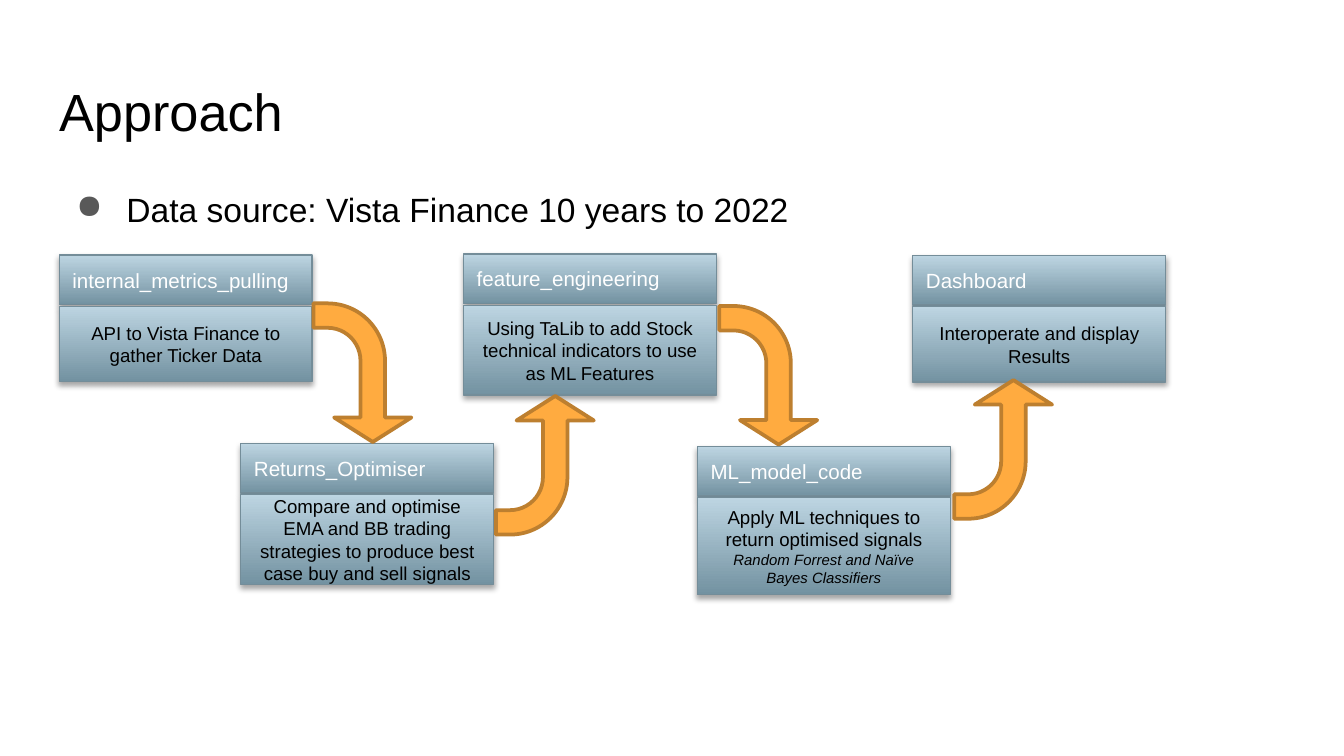
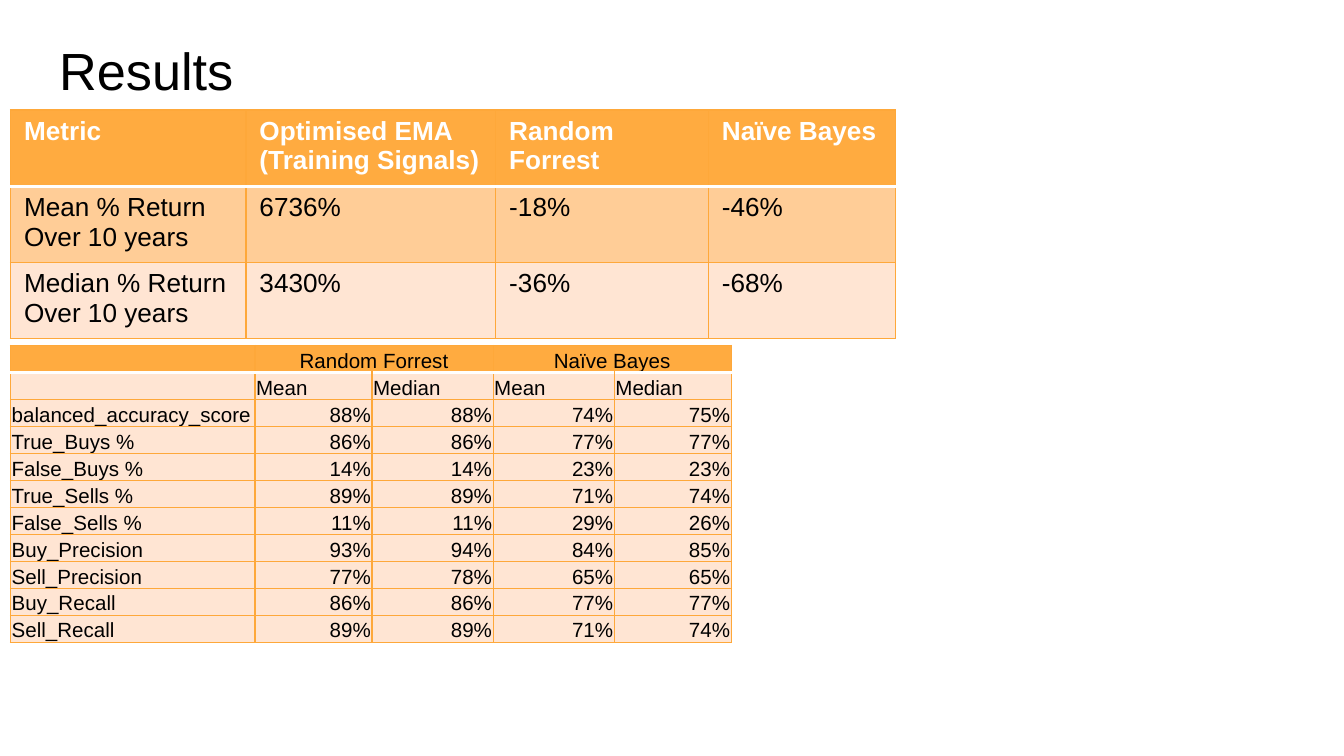
from dataclasses import dataclass

import pptx
import pptx.dml.color
import pptx.enum.shapes
import pptx.enum.text
import pptx.oxml.ns
import pptx.util
from lxml import etree

Cm = pptx.util.Cm
Pt = pptx.util.Pt
ALIGN = pptx.enum.text.PP_ALIGN
ANCHOR = pptx.enum.text.MSO_ANCHOR
SHAPE = pptx.enum.shapes.MSO_SHAPE


@dataclass(frozen=True)
class Theme:
    font: str = "Arial"
    ink: str = "000000"
    paper: str = "FFFFFF"
    bullet: str = "595959"
    steel_dark: str = "7392A1"
    steel_light: str = "BDD5E2"
    steel_line: str = "748D99"
    orange: str = "FFAB40"
    orange_line: str = "BD7F2F"
    table_line: str = "FEA83A"
    band_dark: str = "FFCD97"
    band_light: str = "FFE5D3"
    title_size: float = 28
    body_size: float = 18
    metric_size: float = 14
    step_size: float = 11
    note_size: float = 10
    small_size: float = 8
    score_size: float = 11


T = Theme()
STEP_W, STEP_HEAD_H, STEP_BODY_DY = 4.78, 0.94, 0.97
ARROW_W, ARROW_H = 2.62, 1.85

# name, left, top, body height, description, small print
STEPS = [
    ("internal_metrics_pulling", 1.12, 4.82, 1.42,
     "API to Vista Finance to gather Ticker Data", ""),
    ("feature_engineering", 8.76, 4.8, 1.7,
     "Using TaLib to add Stock technical indicators to use as ML Features", ""),
    ("Returns_Optimiser", 4.55, 8.38, 1.7,
     "Compare and optimise EMA and BB trading strategies to produce best "
     "case buy and sell signals", ""),
    ("ML_model_code", 13.18, 8.44, 1.83,
     "Apply ML techniques to return optimised signals",
     "Random Forrest and Naïve Bayes Classifiers"),
    ("Dashboard", 17.25, 4.83, 1.42, "Interoperate and display Results", ""),
]

# left, top, whether the arrow points up
ARROWS = [(5.54, 6.12, False), (13.21, 6.17, False),
          (8.99, 7.87, True), (17.65, 7.57, True)]

RETURNS = [
    ("Metric", "Optimised EMA\n(Training Signals)", "Random Forrest", "Naïve Bayes"),
    ("Mean % Return\nOver 10 years", "6736%", "-18%", "-46%"),
    ("Median % Return\nOver 10 years", "3430%", "-36%", "-68%"),
]

SCORES = [
    ("", "Random Forrest", "", "Naïve Bayes", ""),
    ("", "Mean", "Median", "Mean", "Median"),
    ("balanced_accuracy_score", "88%", "88%", "74%", "75%"),
    ("True_Buys %", "86%", "86%", "77%", "77%"),
    ("False_Buys %", "14%", "14%", "23%", "23%"),
    ("True_Sells %", "89%", "89%", "71%", "74%"),
    ("False_Sells %", "11%", "11%", "29%", "26%"),
    ("Buy_Precision", "93%", "94%", "84%", "85%"),
    ("Sell_Precision", "77%", "78%", "65%", "65%"),
    ("Buy_Recall", "86%", "86%", "77%", "77%"),
    ("Sell_Recall", "89%", "89%", "71%", "74%"),
]


def rgb(color):
    return pptx.dml.color.RGBColor.from_string(color)


def add_xml(parent, tag, **attrs):
    child = etree.SubElement(parent, pptx.oxml.ns.qn(tag))
    for name, value in attrs.items():
        child.set(name, str(value))
    return child


def add_run(p, text, size, color=T.ink, **fmt):
    r = p.add_run()
    r.text = text
    r.font.color.rgb = rgb(color)
    for name, value in {"name": T.font, "size": Pt(size), **fmt}.items():
        setattr(r.font, name, value)


def add_text(s, x, y, w, h, text, size):
    tf = s.shapes.add_textbox(Cm(x), Cm(y), Cm(w), Cm(h)).text_frame
    tf.word_wrap = True
    for side in ("left", "top", "right", "bottom"):
        setattr(tf, f"margin_{side}", Cm(0.25))
    p = tf.paragraphs[0]
    add_run(p, text, size)
    return p


def add_title(s, text, y):
    add_text(s, 0.87, y, 23.67, 1.6, text, T.title_size)


def add_bullet(s, text):
    p = add_text(s, 0.87, 3.2, 23.67, 9.5, text, T.body_size)
    p.line_spacing = 1.15
    pPr = p._p.get_or_add_pPr()
    pPr.set("marL", str(Cm(1.27)))
    pPr.set("indent", str(-Cm(0.95)))
    add_xml(add_xml(pPr, "a:buClr"), "a:srgbClr", val=T.bullet)
    add_xml(pPr, "a:buChar", char="●")


def add_steel_box(group, x, y, h):
    """Add a gradient box with a soft shadow and return its text frame."""
    sp = group.shapes.add_shape(SHAPE.RECTANGLE, Cm(x), Cm(y), Cm(STEP_W), Cm(h))
    sp.fill.gradient()
    sp.fill.gradient_angle = 90
    for stop, color in zip(sp.fill.gradient_stops, (T.steel_dark, T.steel_light)):
        stop.color.rgb = rgb(color)
    sp.line.color.rgb = rgb(T.steel_line)
    sp.line.width = Pt(0.75)
    sp.shadow.inherit = False
    effects = sp._element.spPr.find(pptx.oxml.ns.qn("a:effectLst"))
    shadow = add_xml(effects, "a:outerShdw", blurRad=Pt(3.1), dist=Pt(1.8),
                     dir=90 * 60000, rotWithShape=0)
    add_xml(add_xml(shadow, "a:srgbClr", val=T.ink), "a:alpha", val=35000)
    tf = sp.text_frame
    tf.word_wrap = True
    tf.vertical_anchor = ANCHOR.MIDDLE
    return tf


def add_step(s, name, x, y, body_h, description, small_print):
    group = s.shapes.add_group_shape()
    p = add_steel_box(group, x, y, STEP_HEAD_H).paragraphs[0]
    p.alignment = ALIGN.LEFT
    add_run(p, name, T.step_size, T.paper)

    tf = add_steel_box(group, x, y + STEP_BODY_DY, body_h)
    add_run(tf.paragraphs[0], description, T.note_size)
    if small_print:
        add_run(tf.add_paragraph(), small_print, T.small_size, italic=True)
    for p in tf.paragraphs:
        p.alignment = ALIGN.CENTER


def add_bent_arrow(s, x, y, up):
    sp = s.shapes.add_shape(SHAPE.BENT_ARROW, Cm(x), Cm(y), Cm(ARROW_W), Cm(ARROW_H))
    for i, value in enumerate((0.25, 0.395, 0.25, 0.587)):
        sp.adjustments[i] = value
    sp.rotation = 90
    if up:
        sp._element.spPr.xfrm.set("flipH", "1")
    sp.fill.solid()
    sp.fill.fore_color.rgb = rgb(T.orange)
    sp.line.color.rgb = rgb(T.orange_line)
    sp.line.width = Pt(2)
    sp.shadow.inherit = False


def style_cell(cell, fill, top=None, bottom=None):
    """Draw the borders, white where given, and then the fill."""
    tcPr = cell._tc.get_or_add_tcPr()
    for side, white in (("L", None), ("R", None), ("T", top), ("B", bottom)):
        ln = add_xml(tcPr, f"a:ln{side}", w=Pt(2 if white else 0.75))
        add_xml(add_xml(ln, "a:solidFill"), "a:srgbClr", val=white or T.table_line)
    cell.fill.solid()
    cell.fill.fore_color.rgb = rgb(fill)


def write_cell(cell, text, size, color=T.ink, bold=False, align=ALIGN.LEFT):
    tf = cell.text_frame
    for i, line in enumerate(text.split("\n")):
        p = tf.add_paragraph() if i else tf.paragraphs[0]
        p.alignment = align
        if line:
            add_run(p, line, size, color, bold=bold)
        else:
            add_xml(p._p, "a:endParaRPr", sz=int(size * 100))


def add_grid(s, x, y, col_widths, row_h, row_fills):
    """Add a table with an orange header row and one fill for each other row."""
    fills = [T.orange, *row_fills]
    table = s.shapes.add_table(len(fills), len(col_widths), Cm(x), Cm(y),
                               Cm(sum(col_widths)), Cm(row_h * len(fills))).table
    table.horz_banding = False
    for col, width in zip(table.columns, col_widths):
        col.width = Cm(width)
    for i, fill in enumerate(fills):
        table.rows[i].height = Cm(row_h)
        for cell in table.rows[i].cells:
            style_cell(cell, fill, top=T.paper if i == 1 else None,
                       bottom=T.paper if i == 0 else None)
    return table


def add_returns_table(s):
    table = add_grid(s, 0.2, 2.08, (4.45, 4.72, 4.02, 3.54), 1.37,
                     (T.band_dark, T.band_light))
    for i, row in enumerate(RETURNS):
        for j, text in enumerate(row):
            write_cell(table.cell(i, j), text, T.metric_size,
                       T.ink if i else T.paper, bold=i == 0)


def add_scores_table(s):
    table = add_grid(s, 0.2, 6.53, (4.62, 2.21, 2.29, 2.29, 2.21), 0.51,
                     [T.band_light] * (len(SCORES) - 1))
    for i, row in enumerate(SCORES):
        for j, text in enumerate(row):
            cell = table.cell(i, j)
            cell.vertical_anchor = ANCHOR.BOTTOM
            for side, inset in (("left", 0.02), ("top", 0.02),
                                ("right", 0.02), ("bottom", 0)):
                setattr(cell, f"margin_{side}", Cm(inset))
            if i == 0:
                align = ALIGN.CENTER
            else:
                align = ALIGN.RIGHT if i > 1 and j > 0 else ALIGN.LEFT
            write_cell(cell, text, T.score_size, align=align)
    for j in (1, 3):
        table.cell(0, j).merge(table.cell(0, j + 1))


def build_approach(s):
    add_title(s, "Approach", 1.24)
    add_bullet(s, "Data source: Vista Finance 10 years to 2022")
    for step in STEPS:
        add_step(s, *step)
    for arrow in ARROWS:
        add_bent_arrow(s, *arrow)


def build_results(s):
    add_title(s, "Results", 0.48)
    add_returns_table(s)
    add_scores_table(s)


def main():
    prs = pptx.Presentation()
    prs.slide_width, prs.slide_height = Cm(25.4), Cm(14.29)
    for build in (build_approach, build_results):
        build(prs.slides.add_slide(prs.slide_layouts[6]))
    prs.save("out.pptx")


if __name__ == "__main__":
    main()
